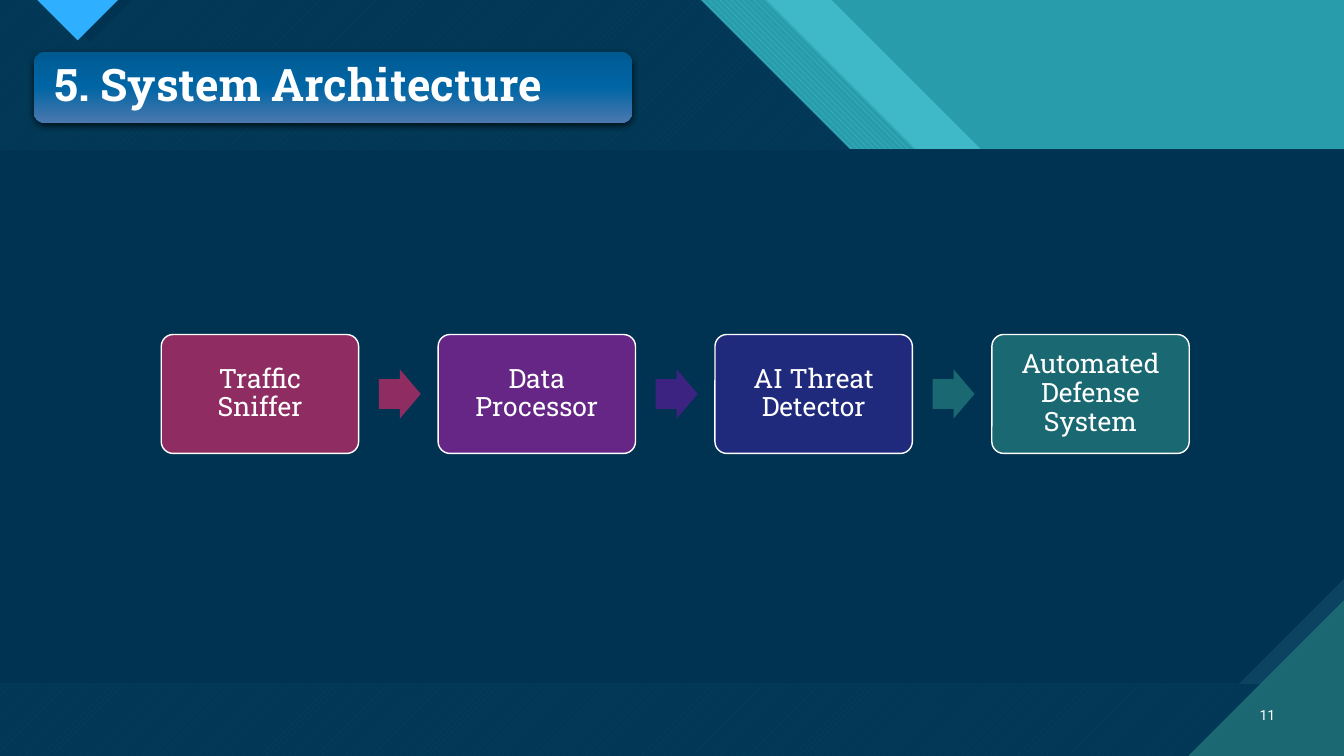
"""Build the system architecture slide on a square 160 by 90 grid."""
from dataclasses import dataclass
from typing import Optional

from lxml import etree
from pptx import Presentation
from pptx.dml.color import RGBColor
from pptx.enum.dml import MSO_PATTERN_TYPE
from pptx.enum.shapes import MSO_SHAPE
from pptx.enum.text import MSO_ANCHOR, PP_ALIGN
from pptx.oxml import parse_xml
from pptx.oxml.ns import nsdecls, qn
from pptx.util import Emu, Inches, Pt

ROUND, ARROW = MSO_SHAPE.ROUNDED_RECTANGLE, MSO_SHAPE.RIGHT_ARROW
LEFT, MID, RIGHT = PP_ALIGN.LEFT, PP_ALIGN.CENTER, PP_ALIGN.RIGHT
CENTER = MSO_ANCHOR.MIDDLE
DOWN = MSO_PATTERN_TYPE.WIDE_DOWNWARD_DIAGONAL
UP = MSO_PATTERN_TYPE.WIDE_UPWARD_DIAGONAL
HORIZ = MSO_PATTERN_TYPE.DARK_HORIZONTAL
VERT = MSO_PATTERN_TYPE.DARK_VERTICAL

COLS, ROWS = 160, 90
CELL = Inches(7.5) / ROWS


@dataclass(frozen=True)
class Theme:
    """Colours, fonts and type sizes."""
    white: str = "FFFFFF"
    teal: str = "299CAB"
    aqua: str = "47C3D3"
    deep: str = "1B6872"
    navy: str = "003352"
    slate: str = "0C4360"
    sky: str = "2FAFFF"
    wine: str = "8F2D63"
    plum: str = "662686"
    violet: str = "3D2381"
    indigo: str = "202A7C"
    pine: str = "1A6871"
    sheen: tuple[str, ...] = ("005A92", "0065A4", "4B78AE")
    slab: str = "Roboto Slab"
    sans: str = "Roboto"
    head: float = 32
    body: float = 19
    small: float = 10


@dataclass(frozen=True)
class Patch:
    """A filled polygon given in grid cells."""
    points: list[tuple[float, float]]
    fore: str
    back: str = ""
    weave: Optional[MSO_PATTERN_TYPE] = None
    alpha: int = 100


@dataclass(frozen=True)
class Stage:
    """A step of the flow and the colour of the arrow after it."""
    label: str
    fill: str
    arrow: str = ""


@dataclass(frozen=True)
class Box:
    """A rectangle in grid cells."""
    col: float
    row: float
    wide: float
    high: float

    def emu(self) -> list[Emu]:
        """Return left, top, width and height."""
        return [Emu(round(n * CELL)) for n in (self.col, self.row, self.wide, self.high)]


T = Theme()
TITLE = Box(4, 6.14, 71.3, 8.5)
NUMBER = Box(147.7, 82.9, 5.3, 4.8)
FIRST, PITCH, AXIS = 19.2, 32.96, 46.9
CARD, TIP = (23.5, 14.16), (5, 5.88)
STAGES = [
    Stage("Traffic Sniffer", T.wine, T.wine),
    Stage("Data Processor", T.plum, T.violet),
    Stage("AI Threat Detector", T.indigo, T.pine),
    Stage("Automated Defense System", T.pine),
]


def slant(edge: float) -> list[tuple[float, float]]:
    """Return a slide-wide outline with a 45 degree step at its right."""
    drop, shelf = 35.6, 15.1
    step = edge + drop + shelf
    return [(0, 0), (edge, 0), (edge + drop, drop), (step, drop),
            (COLS, drop + COLS - step), (COLS, ROWS), (0, ROWS)]


def drip(mid: float, size: float) -> list[tuple[float, float]]:
    """Return a triangle that hangs from the top edge."""
    return [(mid - size, 0), (mid, size), (mid + size, 0)]


def panel(snip: float) -> list[tuple[float, float]]:
    """Return the main panel with its lower right corner cut."""
    top, base = 17.8, 81.4
    return [(0, top), (COLS, top), (COLS, base - snip), (COLS - snip, base), (0, base)]


PATCHES = [
    Patch(slant(99), T.aqua, alpha=74),
    Patch(slant(91.2), T.aqua, T.teal, DOWN),
    Patch(slant(83.4), T.aqua, T.deep, UP),
    Patch(slant(83.4), T.navy, alpha=90),
    Patch(drip(10.75, 5), T.navy),
    Patch(drip(9.25, 4.8), T.sky, T.deep, HORIZ),
    Patch(panel(0), T.slate, T.deep, VERT),
    Patch(panel(12.5), T.navy),
    Patch([(141.5, ROWS), (COLS, ROWS), (COLS, 71.5)], T.deep, T.aqua, HORIZ),
]


def rgb(code: str) -> RGBColor:
    """Turn a hex code into a colour."""
    return RGBColor.from_string(code)


def draw(slide, patch: Patch) -> None:
    """Draw one polygon."""
    dots = [(round(x * CELL), round(y * CELL)) for x, y in patch.points]
    pen = slide.shapes.build_freeform(*dots[0])
    pen.add_line_segments(dots[1:], close=True)
    shape = pen.convert_to_shape()
    shape.shadow.inherit = False
    shape.line.fill.background()
    if patch.weave is not None:
        shape.fill.patterned()
        shape.fill.pattern = patch.weave
        shape.fill.fore_color.rgb = rgb(patch.fore)
        shape.fill.back_color.rgb = rgb(patch.back)
        return
    shape.fill.solid()
    shape.fill.fore_color.rgb = rgb(patch.fore)
    if patch.alpha < 100:
        tint = shape.element.spPr.find(".//" + qn("a:srgbClr"))
        etree.SubElement(tint, qn("a:alpha"), val=str(patch.alpha * 1000))


def form(slide, kind: MSO_SHAPE, box: Box, fill: str):
    """Add a flat preset shape without a line."""
    shape = slide.shapes.add_shape(kind, *box.emu())
    shape.shadow.inherit = False
    shape.line.fill.background()
    shape.fill.solid()
    shape.fill.fore_color.rgb = rgb(fill)
    return shape


def write(shape, text: str, size: float, font: str, align: PP_ALIGN,
          pad: float, bold: bool = False) -> None:
    """Set the text of a shape."""
    frame = shape.text_frame
    frame.word_wrap = True
    frame.vertical_anchor = CENTER
    frame.margin_left = frame.margin_right = Inches(pad)
    frame.margin_top = frame.margin_bottom = Inches(0.05)
    para = frame.paragraphs[0]
    para.text, para.alignment, para.line_spacing = text, align, 0.9
    para.font.name, para.font.size, para.font.bold = font, Pt(size), bold
    para.font.color.rgb = rgb(T.white)


def title(slide, text: str) -> None:
    """Draw the shaded title bar."""
    bar = form(slide, ROUND, TITLE, T.sheen[1])
    stops = "".join(f'<a:gs pos="{i * 50000}"><a:srgbClr val="{code}"/></a:gs>'
                    for i, code in enumerate(T.sheen))
    props = bar.element.spPr
    props.replace(props.find(qn("a:solidFill")), parse_xml(
        f'<a:gradFill {nsdecls("a")}><a:gsLst>{stops}</a:gsLst><a:lin ang="5400000"/></a:gradFill>'))
    props.find(qn("a:effectLst")).append(parse_xml(
        f'<a:outerShdw {nsdecls("a")} blurRad="{Pt(4.5)}" dist="{Pt(1.5)}" dir="5400000">'
        '<a:srgbClr val="000000"><a:alpha val="63000"/></a:srgbClr></a:outerShdw>'))
    write(bar, text, T.head, T.slab, LEFT, 0.17, True)


def flow(slide) -> None:
    """Draw the stages and the arrows between them."""
    for i, stage in enumerate(STAGES):
        col = FIRST + i * PITCH
        card = form(slide, ROUND, Box(col, AXIS - CARD[1] / 2, *CARD), stage.fill)
        card.adjustments[0] = 0.1
        card.line.color.rgb = rgb(T.white)
        card.line.width = Pt(1)
        write(card, stage.label, T.body, T.slab, MID, 0.1)
        if stage.arrow:
            tip = form(slide, ARROW, Box(col + 25.9, AXIS - TIP[1] / 2, *TIP), stage.arrow)
            tip.adjustments[0] = 0.6


def main() -> None:
    """Build and save the slide."""
    deck = Presentation()
    deck.slide_width, deck.slide_height = Emu(round(COLS * CELL)), Emu(round(ROWS * CELL))
    slide = deck.slides.add_slide(deck.slide_layouts[6])
    slide.background.fill.solid()
    slide.background.fill.fore_color.rgb = rgb(T.teal)
    for patch in PATCHES:
        draw(slide, patch)
    title(slide, "5. System Architecture")
    write(slide.shapes.add_textbox(*NUMBER.emu()), "11", T.small, T.sans, RIGHT, 0.1)
    flow(slide)
    deck.save("out.pptx")


if __name__ == "__main__":
    main()
